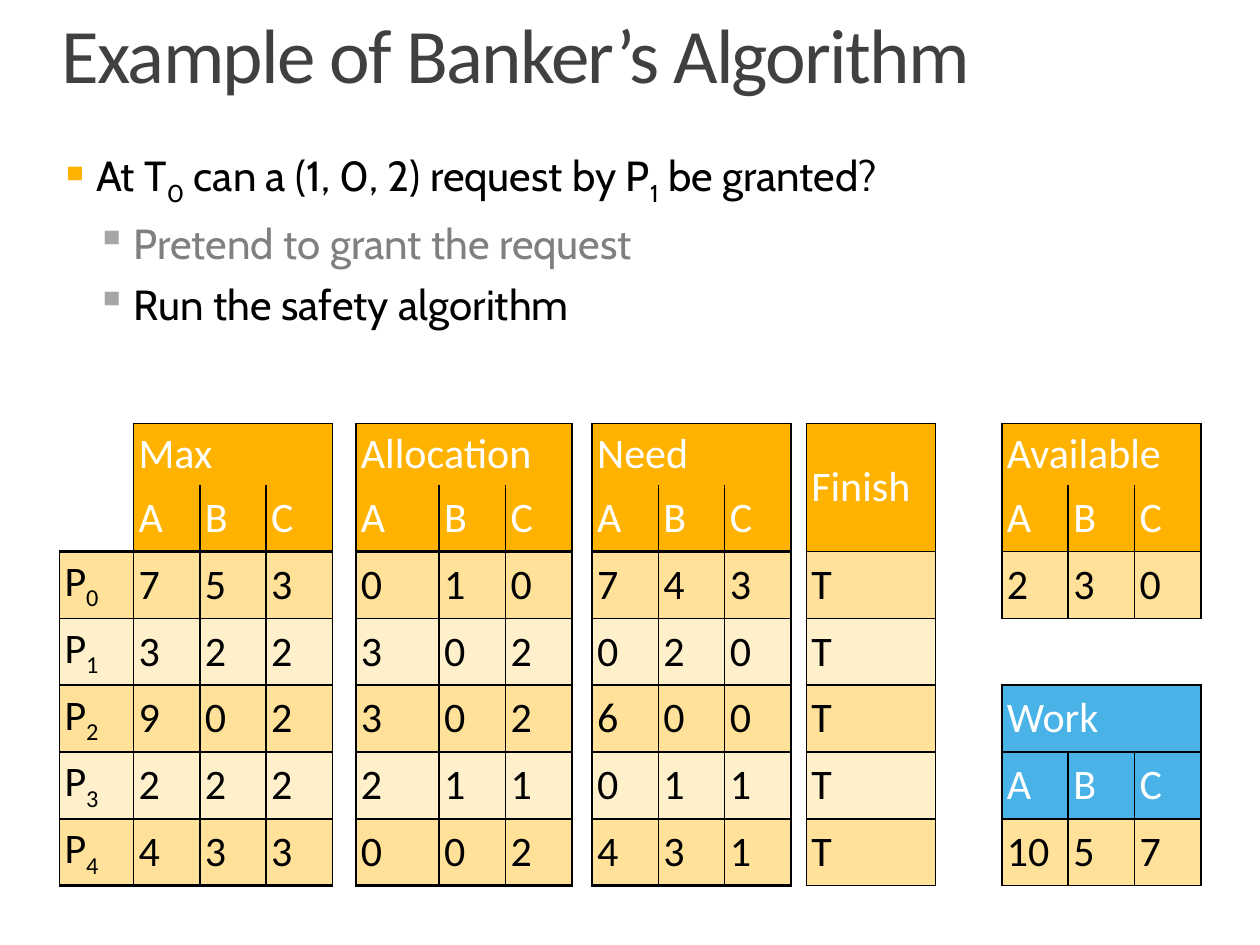
from lxml.etree import SubElement
from pptx import Presentation
from pptx.dml.color import RGBColor
from pptx.enum.text import MSO_ANCHOR as Anchor, MSO_AUTO_SIZE as AutoSize, PP_ALIGN as Align
from pptx.oxml.ns import qn
from pptx.util import Pt

BLACK = RGBColor(0x00, 0x00, 0x00)
WHITE = RGBColor(0xFF, 0xFF, 0xFF)
TITLE_GRAY = RGBColor(0x40, 0x40, 0x40)
DIM_GRAY = RGBColor(0x80, 0x80, 0x80)
BULLET_GRAY = RGBColor(0xA6, 0xA6, 0xA6)
AMBER = RGBColor(0xFF, 0xB3, 0x00)
BLUE = RGBColor(0x49, 0xB3, 0xE8)
BANDS = RGBColor(0xFF, 0xE1, 0x99), RGBColor(0xFF, 0xF0, 0xCC)

PLAIN_STYLE = "{2D5ABB26-0587-4C30-8999-92F81FD0307C}"
THIN, THICK = 1, 2.25
UNIT = 37.9
COLUMN_WIDTHS = [42.3, *[UNIT] * 3, 13.4, 47.6, *[UNIT] * 2, 11.6,
                 *[UNIT] * 3, 8.7, 73.9, *[UNIT] * 4]
ROW_HEIGHTS = [35] + [38.2] * 6
FIRST_DATA_ROW = 2

MAX = ["753", "322", "902", "222", "433"]
ALLOCATION = ["010", "302", "302", "211", "002"]
NEED = ["743", "020", "600", "011", "431"]
AVAILABLE = [["2", "3", "0"]]
WORK = [["10", "5", "7"]]


def add_run(paragraph, text, font_name, size, color, subscript=False):
    run = paragraph.add_run()
    run.text = text
    run.font.name = font_name
    run.font.size = Pt(size)
    run.font.color.rgb = color
    if subscript:
        run.font._element.set("baseline", "-25000")
    return run


def add_bullet(paragraph, color, margin, hanging):
    properties = paragraph._p.get_or_add_pPr()
    properties.set("marL", str(Pt(margin)))
    properties.set("indent", str(-Pt(hanging)))
    bullet_color = SubElement(properties, qn("a:buClr"))
    SubElement(bullet_color, qn("a:srgbClr"), val=str(color))
    SubElement(properties, qn("a:buChar"), char="▪")


def place_title(slide, left, top, width, height):
    title = slide.shapes.title
    title.left, title.top, title.width, title.height = map(Pt, (left, top, width, height))
    frame = title.text_frame
    frame.auto_size = AutoSize.NONE
    frame.vertical_anchor = Anchor.BOTTOM
    frame.margin_left = frame.margin_right = frame.margin_bottom = 0
    frame.margin_top = Pt(3)
    paragraph = frame.paragraphs[0]
    paragraph.alignment = Align.LEFT
    paragraph.line_spacing = 0.8
    paragraph._p.get_or_add_pPr().set("marL", str(Pt(35.3)))
    run = add_run(paragraph, "Example of Banker’s Algorithm", "Calibri", 44, TITLE_GRAY)
    run.font._element.set("spc", "-100")


def place_question(slide, left, top, width, height):
    box = slide.shapes.add_textbox(*map(Pt, (left, top, width, height)))
    frame = box.text_frame
    frame.word_wrap = True
    frame.margin_left = frame.margin_right = frame.margin_top = frame.margin_bottom = 0
    question = frame.paragraphs[0]
    add_bullet(question, AMBER, 21, 21)
    for text, subscript in [("At T", False), ("0", True),
                            (" can a (1, 0, 2) request by P", False),
                            ("1", True), (" be granted?", False)]:
        add_run(question, text, "Cabin", 24, BLACK, subscript)
    for text, color in [("Pretend to grant the request", DIM_GRAY),
                        ("Run the safety algorithm", BLACK)]:
        step = frame.add_paragraph()
        step.level = 1
        add_bullet(step, BULLET_GRAY, 42.5, 21.6)
        step.space_before = Pt(6)
        add_run(step, text, "Cabin", 24, color)


def fill_cell(cell, text, fill, color=BLACK, subscript="", **borders):
    properties = cell._tc.get_or_add_tcPr()
    for side in "LRTB":
        if side in borders:
            line = SubElement(properties, qn(f"a:ln{side}"), w=str(Pt(borders[side])))
            solid = SubElement(line, qn("a:solidFill"))
            SubElement(solid, qn("a:srgbClr"), val=str(BLACK))
    cell.fill.solid()
    cell.fill.fore_color.rgb = fill
    paragraph = cell.text_frame.paragraphs[0]
    add_run(paragraph, text, "Calibri", 24, color)
    if subscript:
        add_run(paragraph, subscript, "Calibri", 24, color, True)


def fill_column(table, row, column, entries, top=THIN, bottom=THIN, subscripts=None):
    last = len(entries) - 1
    for index, text in enumerate(entries):
        fill_cell(table.cell(row + index, column), text, BANDS[index % 2],
                  subscript=subscripts[index] if subscripts else "",
                  L=THIN, R=THIN, T=top if index == 0 else THIN,
                  B=bottom if index == last else THIN)


def fill_matrix(table, row, column, name, values, header_fill=AMBER, edge=THIN):
    heading = table.cell(row, column)
    heading.merge(table.cell(row, column + 2))
    fill_cell(heading, name, header_fill, WHITE, L=THIN, R=THIN, T=THIN)
    for offset, (letter, entries) in enumerate(zip("ABC", zip(*values))):
        fill_cell(table.cell(row + 1, column + offset), letter, header_fill, WHITE,
                  L=THIN, R=THIN, B=edge)
        fill_column(table, row + 2, column + offset, entries, edge, edge)


def place_table(slide, left, top):
    width, height = sum(COLUMN_WIDTHS), sum(ROW_HEIGHTS)
    frame = slide.shapes.add_table(len(ROW_HEIGHTS), len(COLUMN_WIDTHS),
                                   *map(Pt, (left, top, width, height)))
    table = frame.table
    table.first_row = table.horz_banding = False
    table._tbl.tblPr.find(qn("a:tableStyleId")).text = PLAIN_STYLE
    for column, column_width in zip(table.columns, COLUMN_WIDTHS):
        column.width = Pt(column_width)
    for row, row_height in zip(table.rows, ROW_HEIGHTS):
        row.height = Pt(row_height)
    for cell in table.iter_cells():
        cell.margin_left = cell.margin_right = Pt(2.9)
        cell.margin_top = cell.margin_bottom = Pt(2.8)
        cell.vertical_anchor = Anchor.MIDDLE
        cell.fill.background()

    fill_column(table, FIRST_DATA_ROW, 0, "PPPPP", THICK, THICK, subscripts="01234")
    for column, name, values in [(1, "Max", MAX), (5, "Allocation", ALLOCATION),
                                 (9, "Need", NEED)]:
        fill_matrix(table, 0, column, name, values, edge=THICK)
    finish = table.cell(0, 13)
    finish.merge(table.cell(1, 13))
    fill_cell(finish, "Finish", AMBER, WHITE, L=THIN, R=THIN, T=THIN, B=THIN)
    fill_column(table, FIRST_DATA_ROW, 13, "TTTTT")
    fill_matrix(table, 0, 15, "Available", AVAILABLE)
    fill_matrix(table, 4, 15, "Work", WORK, BLUE)


def main():
    presentation = Presentation()
    presentation.slide_width, presentation.slide_height = Pt(720), Pt(540)
    slide = presentation.slides.add_slide(presentation.slide_layouts[5])
    place_title(slide, 0, 0, 720, 56)
    place_table(slide, 34, 242)
    place_question(slide, 34, 85.7, 652, 198.7)
    presentation.save("out.pptx")


if __name__ == "__main__":
    main()
